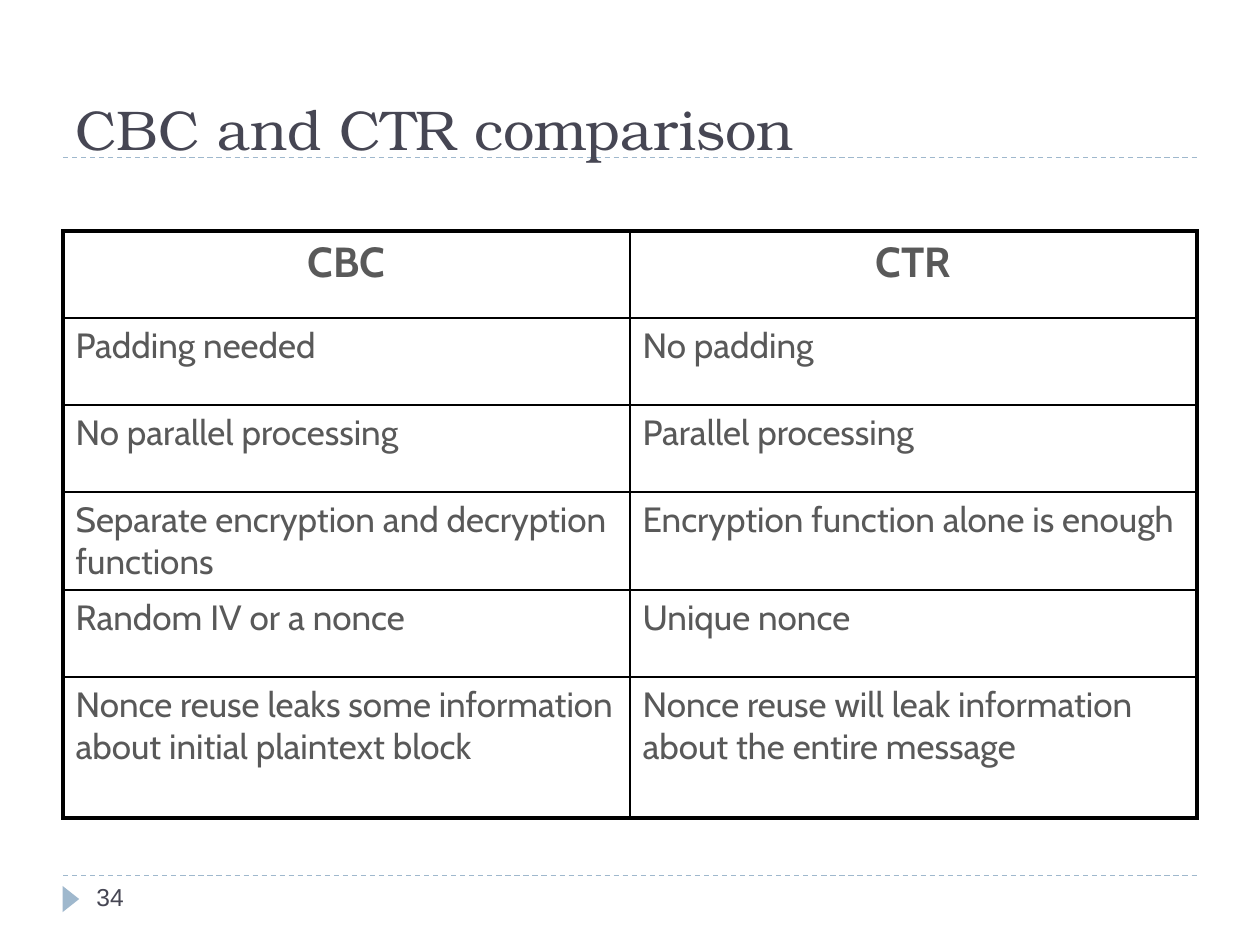
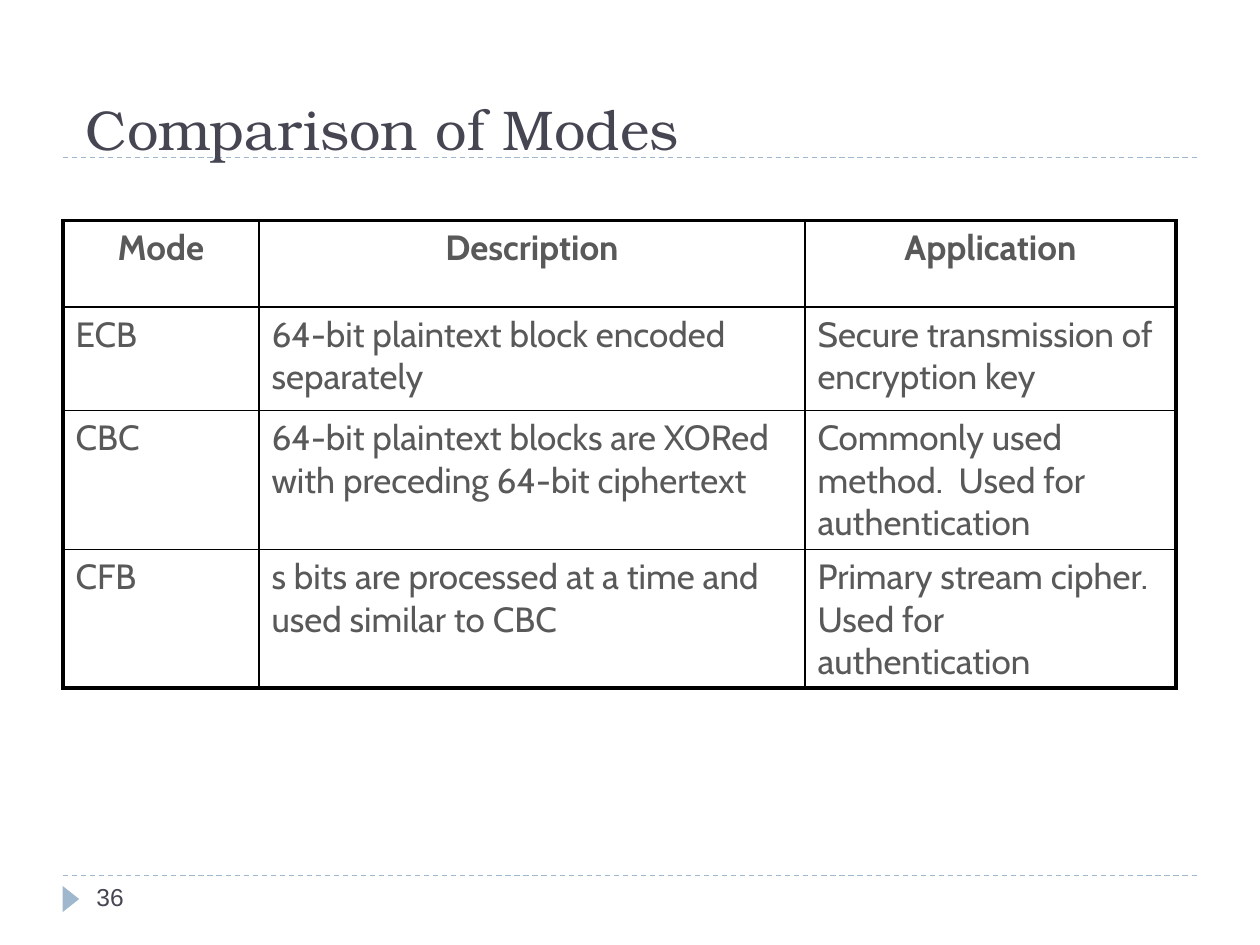
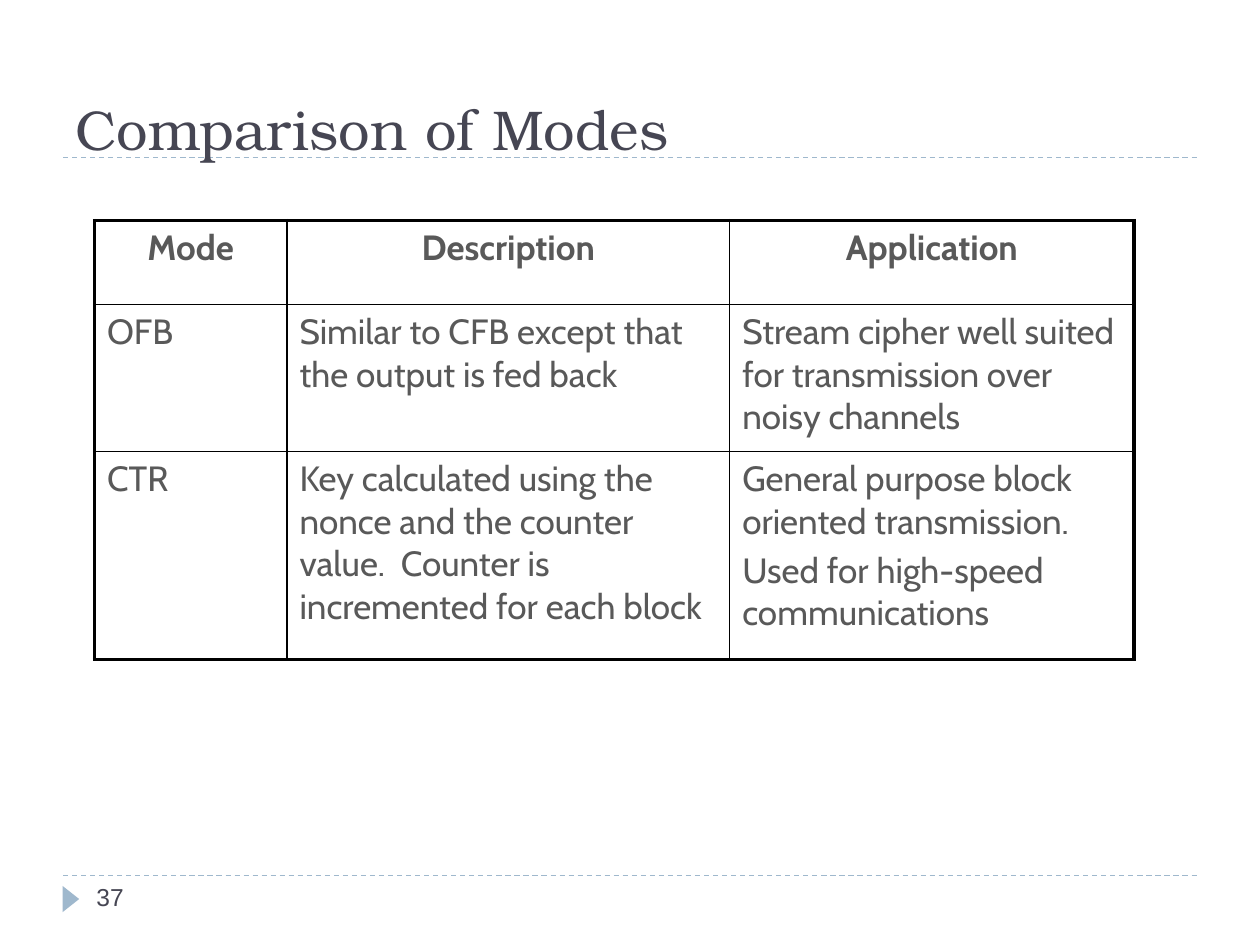
from dataclasses import dataclass

from lxml.etree import SubElement
from pptx import Presentation
from pptx.dml.color import RGBColor
from pptx.enum.dml import MSO_LINE
from pptx.enum.shapes import MSO_CONNECTOR, MSO_SHAPE
from pptx.enum.text import MSO_ANCHOR, PP_ALIGN
from pptx.oxml import parse_xml
from pptx.oxml.ns import nsdecls, qn
from pptx.util import Pt


@dataclass(frozen=True)
class Theme:
    accent: str = "9FB8CD"
    heading: str = "464653"
    body: str = "595959"
    border: str = "000000"
    heading_font: str = "TeX Gyre Bonum"
    body_font: str = "Cabin"
    number_font: str = "Arial"
    heading_size: float = 32
    body_size: float = 20
    number_size: float = 14
    paragraph_gap: float = 3.6
    rule_width: float = 0.75
    outer_border: float = 2.25
    inner_border: float = 1


class SlideBuilder:
    def __init__(self, deck, theme):
        self.deck = deck
        self.theme = theme
        self.page = None

    def new_page(self):
        self.page = self.deck.slides.add_slide(self.deck.slide_layouts[6])
        self.rule(500.4)
        self.rule(90)
        self.marker()

    def rule(self, y):
        """Draw a dashed line across the page."""
        line = self.page.shapes.add_connector(
            MSO_CONNECTOR.STRAIGHT, Pt(36), Pt(y), Pt(684), Pt(y))
        line.line.color.rgb = RGBColor.from_string(self.theme.accent)
        line.line.width = Pt(self.theme.rule_width)
        line.line.dash_style = MSO_LINE.DASH
        SubElement(line._element.spPr, qn("a:effectLst"))

    def marker(self):
        """Draw the triangle that points at the page number."""
        triangle = self.page.shapes.add_shape(
            MSO_SHAPE.ISOSCELES_TRIANGLE, Pt(33), Pt(509), Pt(15), Pt(9.5))
        triangle.rotation = 90
        triangle.shadow.inherit = False
        triangle.fill.solid()
        triangle.fill.fore_color.rgb = RGBColor.from_string(self.theme.accent)
        triangle.line.fill.background()

    def style(self, para, font, size, color, bold=False):
        para.font.name = font
        para.font.size = Pt(size)
        para.font.color.rgb = RGBColor.from_string(color)
        para.font.bold = bold

    def text(self, words, left, top, width, height, font, size, anchor):
        box = self.page.shapes.add_textbox(Pt(left), Pt(top), Pt(width), Pt(height))
        frame = box.text_frame
        frame.word_wrap = True
        frame.vertical_anchor = anchor
        frame.text = words
        self.style(frame.paragraphs[0], font, size, self.theme.heading)

    def title(self, words, left=36, top=21.6, height=74.2):
        self.text(words, left, top, 648, height, self.theme.heading_font,
                  self.theme.heading_size, MSO_ANCHOR.BOTTOM)

    def number(self, value):
        self.text(str(value), 48, 500.4, 156, 29, self.theme.number_font,
                  self.theme.number_size, MSO_ANCHOR.TOP)

    def table(self, rows, left, top, widths, heights, header_size):
        """Draw a grid with a bold centred first row and a heavy outline."""
        grid = self.page.shapes.add_table(
            len(rows), len(widths), Pt(left), Pt(top),
            Pt(sum(widths)), Pt(sum(heights))).table
        grid.first_row = grid.horz_banding = False
        for column, width in zip(grid.columns, widths):
            column.width = Pt(width)
        last_row, last_column = len(rows) - 1, len(widths) - 1
        for r, (words, height) in enumerate(zip(rows, heights)):
            grid.rows[r].height = Pt(height)
            for c, entry in enumerate(words):
                cell = grid.cell(r, c)
                self.fill_cell(cell, entry, r == 0, header_size)
                self.border_cell(cell, {"L": c == 0, "R": c == last_column,
                                        "T": r == 0, "B": r == last_row})

    def fill_cell(self, cell, entry, is_header, header_size):
        cell.fill.background()
        cell.text_frame.text = entry
        size = header_size if is_header else self.theme.body_size
        for index, para in enumerate(cell.text_frame.paragraphs):
            self.style(para, self.theme.body_font, size, self.theme.body, is_header)
            para.alignment = PP_ALIGN.CENTER if is_header else PP_ALIGN.LEFT
            if index:
                para.space_before = Pt(self.theme.paragraph_gap)

    def border_cell(self, cell, outer_sides):
        properties = cell._tc.get_or_add_tcPr()
        for index, (side, is_outer) in enumerate(outer_sides.items()):
            width = self.theme.outer_border if is_outer else self.theme.inner_border
            properties.insert(index, parse_xml(
                f'<a:ln{side} {nsdecls("a")} w="{Pt(width)}"><a:solidFill>'
                f'<a:srgbClr val="{self.theme.border}"/></a:solidFill></a:ln{side}>'))


MODE_HEADER = ("Mode", "Description", "Application")


def cbc_and_ctr(builder):
    builder.new_page()
    builder.title("CBC and CTR comparison")
    builder.table(
        [("CBC", "CTR"),
         ("Padding needed", "No padding"),
         ("No parallel processing", "Parallel processing"),
         ("Separate encryption and decryption functions",
          "Encryption function alone is enough"),
         ("Random IV or a nonce", "Unique nonce"),
         ("Nonce reuse leaks some information about initial plaintext block",
          "Nonce reuse will leak information about the entire message")],
        36, 132, [324, 324], [49.7, 49.7, 49.7, 56.2, 49.7, 80.6], header_size=24)
    builder.number(34)


def block_modes(builder):
    builder.new_page()
    builder.title("Comparison of Modes", left=42, top=30, height=66)
    builder.table(
        [MODE_HEADER,
         ("ECB", "64-bit plaintext block encoded separately",
          "Secure transmission of encryption key"),
         ("CBC", "64-bit plaintext blocks are XORed with preceding 64-bit ciphertext",
          "Commonly used method.  Used for authentication"),
         ("CFB", "s bits are processed at a time and used similar to CBC",
          "Primary stream cipher. Used for authentication")],
        36, 126, [112, 312, 212], [49.5, 59, 79.5, 59], header_size=20)
    builder.number(36)


def stream_modes(builder):
    builder.new_page()
    builder.title("Comparison of Modes")
    builder.table(
        [MODE_HEADER,
         ("OFB", "Similar to CFB except that the output is fed back",
          "Stream cipher well suited for transmission over noisy channels"),
         ("CTR", "Key calculated using the nonce and the counter value.  "
          "Counter is incremented for each block",
          "General purpose block oriented transmission.\n"
          "Used for high-speed communications")],
        54, 126, [110, 253, 231], [48, 84, 119], header_size=20)
    builder.number(37)


def main():
    deck = Presentation()
    deck.slide_width, deck.slide_height = Pt(720), Pt(540)
    builder = SlideBuilder(deck, Theme())
    for build in (cbc_and_ctr, block_modes, stream_modes):
        build(builder)
    deck.save("out.pptx")


if __name__ == "__main__":
    main()
